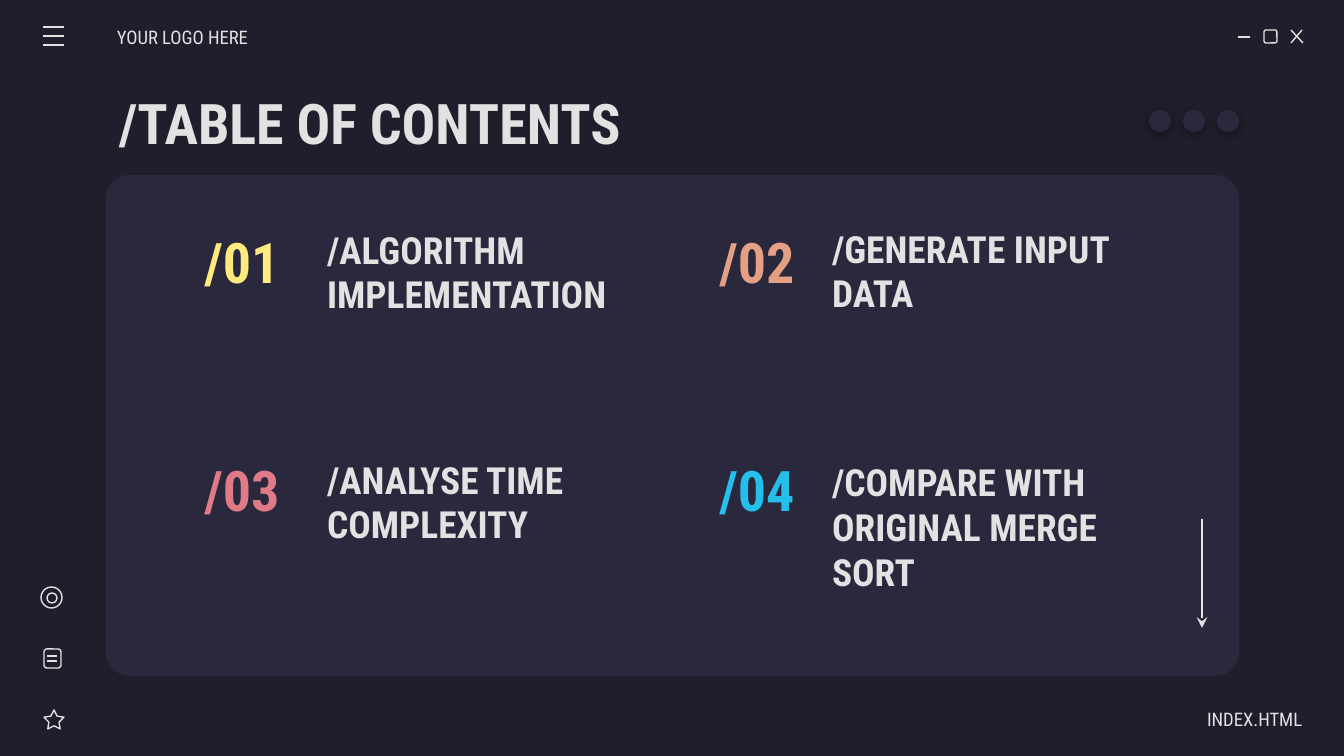
from lxml import etree
from pptx import Presentation
from pptx.dml.color import RGBColor
from pptx.enum.shapes import MSO_CONNECTOR, MSO_SHAPE
from pptx.enum.text import MSO_ANCHOR, PP_ALIGN
from pptx.oxml.ns import qn
from pptx.util import Pt

LINE = MSO_CONNECTOR.STRAIGHT
ROUNDED, OVAL, STAR = MSO_SHAPE.ROUNDED_RECTANGLE, MSO_SHAPE.OVAL, MSO_SHAPE.STAR_5_POINT
LEFT, CENTER, RIGHT = PP_ALIGN.LEFT, PP_ALIGN.CENTER, PP_ALIGN.RIGHT
MIDDLE = MSO_ANCHOR.MIDDLE

EMU_PER_PX = 914400 / 134.4
BACKGROUND, PANEL, LIGHT = "1E1E2C", "29283D", "E2E2E2"


def px(length):
    return round(length * EMU_PER_PX)


def color(hex_value):
    return RGBColor.from_string(hex_value)


class SlideBuilder:
    font = "Roboto Condensed"
    line_width = Pt(0.75)
    inset = 13

    def __init__(self, presentation):
        self.slide = presentation.slides.add_slide(presentation.slide_layouts[6])
        fill = self.slide.background.fill
        fill.solid()
        fill.fore_color.rgb = color(BACKGROUND)

    def shape(self, kind, left, top, width, height, fill=None, adjustment=None):
        """Add a filled shape without an outline, or an outlined one without a fill."""
        shape = self.slide.shapes.add_shape(kind, px(left), px(top), px(width), px(height))
        shape.shadow.inherit = False
        if fill:
            shape.fill.solid()
            shape.fill.fore_color.rgb = color(fill)
            shape.line.fill.background()
        else:
            shape.fill.background()
            shape.line.color.rgb = color(LIGHT)
            shape.line.width = self.line_width
        if adjustment is not None:
            shape.adjustments[0] = adjustment
        return shape

    def dot(self, left, top, size):
        """Add a round dot with a soft shadow below it."""
        shape = self.shape(OVAL, left, top, size, size, PANEL)
        effects = shape._element.spPr.find(qn("a:effectLst"))
        shadow = etree.SubElement(effects, qn("a:outerShdw"), blurRad=str(Pt(4.5)),
                                  dist=str(Pt(1.5)), dir="5400000", algn="bl", rotWithShape="0")
        black = etree.SubElement(shadow, qn("a:srgbClr"), val="000000")
        etree.SubElement(black, qn("a:alpha"), val="30000")

    def line(self, x1, y1, x2, y2, arrow=False):
        connector = self.slide.shapes.add_connector(LINE, px(x1), px(y1), px(x2), px(y2))
        connector.line.color.rgb = color(LIGHT)
        connector.line.width = self.line_width
        if arrow:
            etree.SubElement(connector.line._get_or_add_ln(), qn("a:tailEnd"), type="stealth")
        etree.SubElement(connector._element.spPr, qn("a:effectLst"))

    def text(self, text, left, top, width, height, size, fill=LIGHT, bold=True,
             align=LEFT, left_inset=inset, right_inset=inset):
        box = self.slide.shapes.add_textbox(px(left), px(top), px(width), px(height))
        frame = box.text_frame
        frame.word_wrap = True
        frame.vertical_anchor = MIDDLE
        frame.margin_left, frame.margin_right = px(left_inset), px(right_inset)
        frame.margin_top = frame.margin_bottom = px(self.inset)
        paragraph = frame.paragraphs[0]
        paragraph.text = text
        paragraph.alignment = align
        font = paragraph.font
        font.name, font.size, font.bold = self.font, Pt(size), bold
        font.color.rgb = color(fill)


def main():
    presentation = Presentation()
    presentation.slide_width, presentation.slide_height = px(1344), px(756)
    builder = SlideBuilder(presentation)

    # Panel
    builder.shape(ROUNDED, 106, 175, 1133, 501, PANEL, 0.047)

    # Window buttons: minimise, maximise, close
    builder.line(1238, 37, 1250, 37)
    builder.shape(ROUNDED, 1264, 30, 13, 13)
    builder.line(1291, 30, 1303, 43)
    builder.line(1302, 30, 1291, 43)

    # Contents: number and heading, with the heading's top
    entries = [
        ("/ALGORITHM IMPLEMENTATION", "FFEA7D", 234),
        ("/GENERATE INPUT DATA", "E5A083", 233),
        ("/ANALYSE TIME COMPLEXITY", "E07A88", 464),
        ("/COMPARE WITH ORIGINAL MERGE SORT", "24BFEB", 489),
    ]
    columns = [(181, 314), (696, 819)]
    for index, (heading, accent, heading_top) in enumerate(entries):
        row, column = divmod(index, 2)
        number_left, heading_left = columns[column]
        builder.text(f"/{index + 1:02}", number_left, 224 + row * 228, 122, 75, 30,
                     accent, align=CENTER)
        builder.text(heading, heading_left, heading_top, 344, 75, 20)

    # Title, header and footer
    builder.text("/TABLE OF CONTENTS", 106, 80, 1133, 85, 30)
    builder.text("YOUR LOGO HERE", 117, 17, 157, 40, 10, bold=False, left_inset=0)
    builder.text("INDEX.HTML", 1145, 699, 157, 40, 10, bold=False, align=RIGHT, right_inset=0)

    # Menu icon
    for y in (27, 36, 45):
        builder.line(43, y, 64, y)

    # Side icons: target, note, star
    builder.shape(OVAL, 41, 587, 21, 21)
    builder.shape(OVAL, 47, 593, 10, 10)
    builder.shape(ROUNDED, 44, 649, 17, 19)
    for y in (656, 661):
        builder.line(47, y, 57, y)
    builder.shape(STAR, 44, 710, 20, 19, adjustment=0.254)

    # Scroll arrow
    builder.line(1202, 519, 1202, 628, arrow=True)

    # Dots beside the title
    for index in range(3):
        builder.dot(1149 + index * 34, 110, 22)

    presentation.save("out.pptx")


if __name__ == "__main__":
    main()
